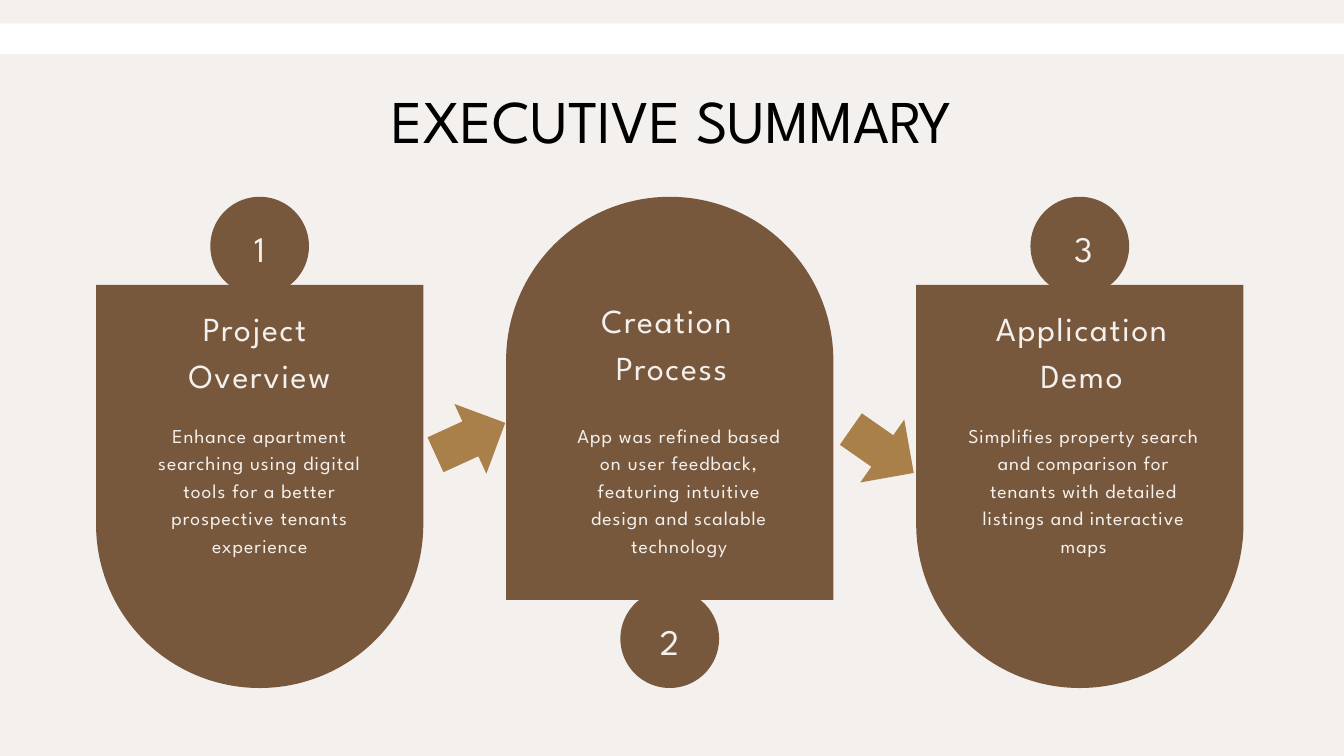
from pptx import Presentation
from pptx.dml.color import RGBColor
from pptx.enum.shapes import MSO_SHAPE
from pptx.enum.text import MSO_ANCHOR, MSO_AUTO_SIZE, PP_ALIGN
from pptx.util import Cm, Pt

RECT = MSO_SHAPE.RECTANGLE
OVAL = MSO_SHAPE.OVAL
ARCH = MSO_SHAPE.ROUND_2_SAME_RECTANGLE
ARROW = MSO_SHAPE.RIGHT_ARROW
CENTER = PP_ALIGN.CENTER
TOP = MSO_ANCHOR.TOP
NO_FIT = MSO_AUTO_SIZE.NONE

CREAM = RGBColor(0xF4, 0xF0, 0xED)
WHITE = RGBColor(0xFF, 0xFF, 0xFF)
BROWN = RGBColor(0x77, 0x58, 0x3D)
GOLD = RGBColor(0xA9, 0x80, 0x49)
BLACK = RGBColor(0, 0, 0)

SLIDE_W, SLIDE_H = 50.8, 28.58
PANEL_W, PANEL_H = 12.37, 15.24
PANEL_LEFT, PANEL_STEP = 3.63, 15.5
ROW_TOP, ROW_BOTTOM = 7.44, 26.01
BADGE = 3.73
ARROW_SIZE = 2.9

PANELS = [
    {"number": ("1", 3.63), "heading": ("Project \nOverview", 5.28),
     "body": ("Enhance apartment searching using digital tools for a better "
              "prospective tenants experience", 5.97, 7.7, 1.1),
     "arch_up": False},
    {"number": ("2", 19.13), "heading": ("Creation \nProcess", 20.85),
     "body": ("App was refined based on user feedback, featuring intuitive "
              "design and scalable technology", 21.41, 8.53, 1.1),
     "arch_up": True},
    {"number": ("3", 34.77), "heading": ("Application\nDemo", 36.35),
     "body": ("Simplifies property search and comparison for tenants with "
              "detailed listings and interactive maps", 36.42, 9.09, 1),
     "arch_up": False},
]
ARROWS = [(16.33, 15.14, 335.4), (31.9, 15.6, 34.9)]


class Deck:
    font = "League Spartan"

    def __init__(self, prs):
        self.s = prs.slides.add_slide(prs.slide_layouts[5])
        fill = self.s.background.fill
        fill.solid()
        fill.fore_color.rgb = CREAM

    def shape(self, kind, left, top, width, height, color, rotation=0):
        sp = self.s.shapes.add_shape(kind, Cm(left), Cm(top), Cm(width), Cm(height))
        sp.shadow.inherit = False
        sp.fill.solid()
        sp.fill.fore_color.rgb = color
        sp.line.fill.background()
        sp.rotation = rotation
        return sp

    def set_text(self, sp, text, size, leading, color, spacing=0):
        tf = sp.text_frame
        tf.word_wrap = True
        tf.auto_size = NO_FIT
        tf.vertical_anchor = TOP
        tf.margin_left = tf.margin_right = tf.margin_top = tf.margin_bottom = 0
        tf.text = text
        for p in tf.paragraphs:
            p.alignment = CENTER
            p.line_spacing = Pt(leading)
            p.font.name = self.font
            p.font.size = Pt(size)
            p.font.color.rgb = color
            for r in p.runs:
                r.font._element.set("spc", str(round(spacing * 100)))

    def title(self, text, left, top, width, height):
        sp = self.s.shapes.title
        sp.left, sp.top, sp.width, sp.height = Cm(left), Cm(top), Cm(width), Cm(height)
        self.set_text(sp, text, 65, 67.6, BLACK)

    def text(self, text, left, top, width, height, size, leading, spacing):
        sp = self.s.shapes.add_textbox(Cm(left), Cm(top), Cm(width), Cm(height))
        self.set_text(sp, text, size, leading, CREAM, spacing)

    def panel(self, left, number, heading, body, arch_up):
        panel_top = ROW_TOP if arch_up else ROW_BOTTOM - PANEL_H
        badge_top = ROW_BOTTOM - BADGE if arch_up else ROW_TOP
        sp = self.shape(ARCH, left, panel_top, PANEL_W, PANEL_H, BROWN,
                        0 if arch_up else 180)
        sp.adjustments[0] = 0.5
        self.shape(OVAL, left + (PANEL_W - BADGE) / 2, badge_top, BADGE, BADGE, BROWN)

        digit, digit_left = number
        self.text(digit, digit_left, badge_top + 0.87, PANEL_W, 1.8, 38.5, 53.8, 1.9)
        words, heading_left = heading
        self.text(words, heading_left, 11.1 if arch_up else 11.38, 9.07, 3.48,
                  36, 50.4, 1.8)
        words, body_left, body_width, spacing = body
        self.text(words, body_left, 15.88, body_width, 5.13, 21, 29.4, spacing)


def main():
    prs = Presentation()
    prs.slide_width, prs.slide_height = Cm(SLIDE_W), Cm(SLIDE_H)
    deck = Deck(prs)
    deck.shape(RECT, 0, 0.88, SLIDE_W, 1.16, WHITE)
    deck.title("EXECUTIVE SUMMARY", 12.17, 3.51, 26.47, 2.49)
    for i, panel in enumerate(PANELS):
        deck.panel(PANEL_LEFT + i * PANEL_STEP, **panel)
    for left, top, rotation in ARROWS:
        deck.shape(ARROW, left, top, ARROW_SIZE, ARROW_SIZE, GOLD, rotation)
    prs.save("out.pptx")


if __name__ == "__main__":
    main()
